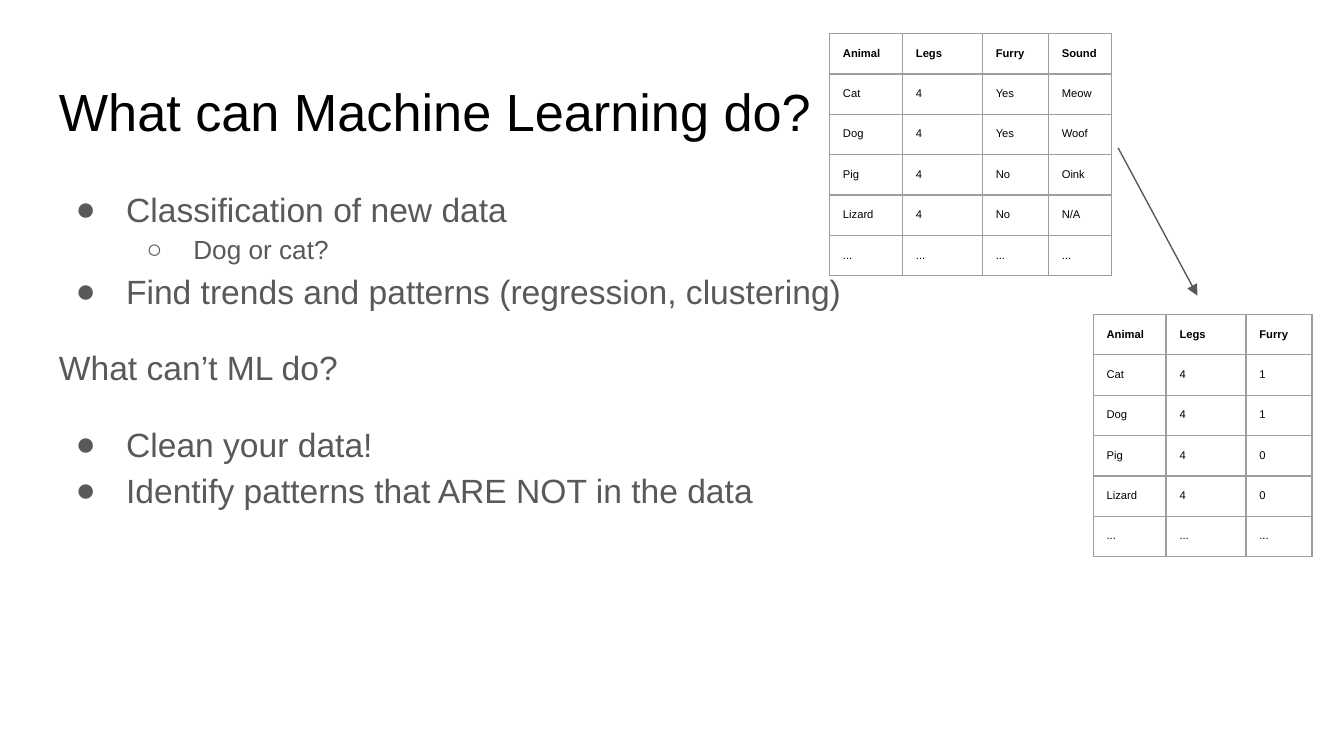
"""Build a slide on what machine learning can do, with animal data before and after encoding."""
from dataclasses import dataclass

import lxml.etree
import pptx
import pptx.dml.color
import pptx.enum.shapes
import pptx.oxml.ns
import pptx.util

Pt = pptx.util.Pt
qualified = pptx.oxml.ns.qn

COLOURS = {"title": "000000", "body": "595959", "cell": "000000", "border": "9E9E9E", "arrow": "595959"}
FONT = "Arial"
INSET = 7.2
BORDER_WIDTH = 0.75
COLUMN_WIDTHS = (39.1, 42.8, 35.4, 33.8)
ROW_HEIGHTS = (19.5, 21.6, 21.6, 21.6, 21.6, 19.5)


@dataclass(frozen=True)
class Line:
    text: str
    size: float = 18
    colour: str = "body"
    level: int = 0
    bullet: str = ""
    hanging: float = 27
    space_before: float = 0
    spacing: float = 1.15


@dataclass(frozen=True)
class TextBlock:
    left: float
    top: float
    width: float
    height: float
    lines: tuple[Line, ...]


@dataclass(frozen=True)
class DataTable:
    left: float
    top: float
    rows: tuple[tuple[str, ...], ...]


TEXT_BLOCKS = (
    TextBlock(24.5, 35.2, 671, 45.4, (Line("What can Machine Learning do?", 28, "title", spacing=1),)),
    TextBlock(24.5, 90.7, 671, 269.3, (
        Line("Classification of new data", bullet="●"),
        Line("Dog or cat?", size=14, level=1, bullet="○", hanging=25),
        Line("Find trends and patterns (regression, clustering)", bullet="●"),
        Line("What can’t ML do?", space_before=16),
        Line("Clean your data!", bullet="●", space_before=16),
        Line("Identify patterns that ARE NOT in the data", bullet="●"),
    )),
)

RAW_ROWS = (
    ("Animal", "Legs", "Furry", "Sound"),
    ("Cat", "4", "Yes", "Meow"),
    ("Dog", "4", "Yes", "Woof"),
    ("Pig", "4", "No", "Oink"),
    ("Lizard", "4", "No", "N/A"),
    ("...",) * 4,
)
ENCODING = {"Yes": "1", "No": "0"}
ENCODED_ROWS = tuple(tuple(ENCODING.get(value, value) for value in row[:3]) for row in RAW_ROWS)
TABLES = (DataTable(444.4, 18, RAW_ROWS), DataTable(585.6, 168.5, ENCODED_ROWS))


def colour(name: str) -> pptx.dml.color.RGBColor:
    return pptx.dml.color.RGBColor.from_string(COLOURS[name])


def add_solid_fill(parent, tag: str, name: str) -> None:
    element = lxml.etree.SubElement(parent, qualified(tag))
    lxml.etree.SubElement(element, qualified("a:srgbClr"), val=COLOURS[name])


def style_font(paragraph, size: float, name: str, bold: bool = False) -> None:
    font = paragraph.font
    font.name, font.size, font.bold = FONT, Pt(size), bold
    font.color.rgb = colour(name)


def add_bullet(paragraph, line: Line) -> None:
    properties = paragraph._p.get_or_add_pPr()
    properties.set("marL", str(Pt(36 * (line.level + 1))))
    properties.set("indent", str(-Pt(line.hanging)))
    add_solid_fill(properties, "a:buClr", line.colour)
    lxml.etree.SubElement(properties, qualified("a:buFont"), typeface=FONT)
    lxml.etree.SubElement(properties, qualified("a:buChar"), char=line.bullet)


def add_text_block(slide, block: TextBlock) -> None:
    shape = slide.shapes.add_textbox(Pt(block.left), Pt(block.top), Pt(block.width), Pt(block.height))
    frame = shape.text_frame
    frame.word_wrap = True
    frame.margin_left = frame.margin_right = frame.margin_top = frame.margin_bottom = Pt(INSET)
    for index, line in enumerate(block.lines):
        paragraph = frame.add_paragraph() if index else frame.paragraphs[0]
        paragraph.text = line.text
        paragraph.level = line.level
        if line.bullet:
            add_bullet(paragraph, line)
        paragraph.line_spacing = line.spacing
        paragraph.space_before = Pt(line.space_before)
        style_font(paragraph, line.size, line.colour)


def style_cell(cell, text: str, bold: bool) -> None:
    cell.text = text
    cell.margin_left = cell.margin_right = cell.margin_top = cell.margin_bottom = Pt(INSET)
    style_font(cell.text_frame.paragraphs[0], 6, "cell", bold)
    properties = cell._tc.get_or_add_tcPr()
    for side in ("a:lnL", "a:lnR", "a:lnT", "a:lnB"):
        border = lxml.etree.SubElement(properties, qualified(side), w=str(Pt(BORDER_WIDTH)))
        add_solid_fill(border, "a:solidFill", "border")
    cell.fill.background()


def add_data_table(slide, data: DataTable) -> None:
    widths = COLUMN_WIDTHS[:len(data.rows[0])]
    table = slide.shapes.add_table(
        len(data.rows), len(widths), Pt(data.left), Pt(data.top), Pt(sum(widths)), Pt(sum(ROW_HEIGHTS))
    ).table
    table.first_row = table.horz_banding = False
    for column, width in zip(table.columns, widths):
        column.width = Pt(width)
    for row, height in zip(table.rows, ROW_HEIGHTS):
        row.height = Pt(height)
    for row_index, values in enumerate(data.rows):
        for column_index, value in enumerate(values):
            style_cell(table.cell(row_index, column_index), value, row_index == 0)


def add_arrow(slide, start: tuple[float, float], end: tuple[float, float]) -> None:
    connector = slide.shapes.add_connector(
        pptx.enum.shapes.MSO_CONNECTOR.STRAIGHT, *map(Pt, start), *map(Pt, end)
    )
    connector.line.width = Pt(0.75)
    connector.line.color.rgb = colour("arrow")
    lxml.etree.SubElement(connector.line._get_or_add_ln(), qualified("a:tailEnd"), type="triangle")
    lxml.etree.SubElement(connector._element.spPr, qualified("a:effectLst"))


def main() -> None:
    presentation = pptx.Presentation()
    presentation.slide_width, presentation.slide_height = Pt(720), Pt(405)
    slide = presentation.slides.add_slide(presentation.slide_layouts[6])
    for block in TEXT_BLOCKS:
        add_text_block(slide, block)
    for data in TABLES:
        add_data_table(slide, data)
    add_arrow(slide, (599, 79.2), (641.5, 158.4))
    presentation.save("out.pptx")


if __name__ == "__main__":
    main()
